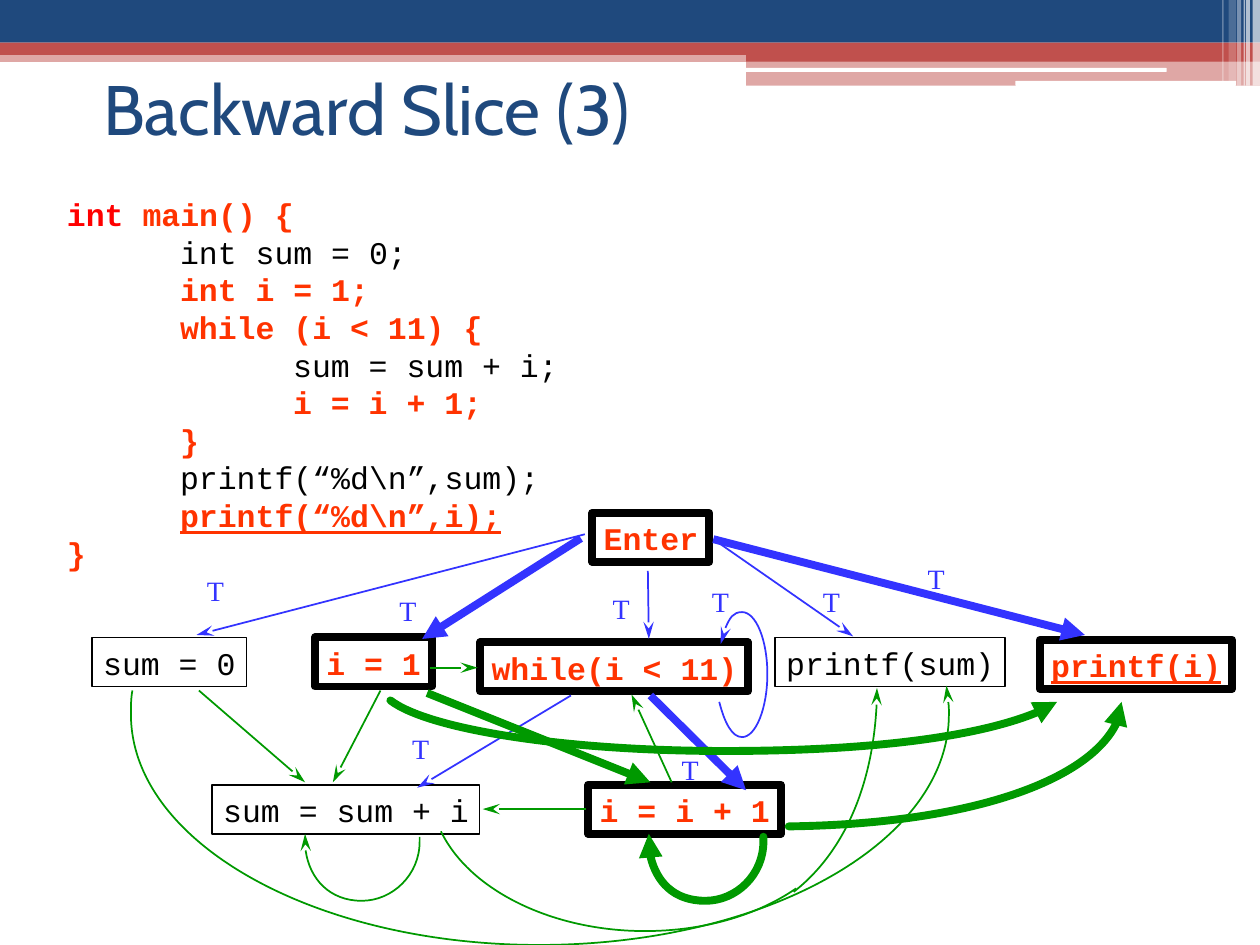
from lxml import etree
from pptx import Presentation
from pptx import util as u
from pptx.dml import color
from pptx.enum import shapes, text
from pptx.oxml import ns

NAVY, RED, WHITE, BLACK = "1F497D", "C0504D", "FFFFFF", "000000"
BLUE, GREEN, SLICE, KEYWORD = "3333FF", "009900", "FF3300", "FF0000"
THIN, THICK = 1, 4.5
PLAIN = {"name": "Courier New", "size": u.Pt(18), "color": BLACK}
MARKED = {**PLAIN, "color": SLICE, "bold": True}
CRITERION = {**MARKED, "underline": True}
EDGE_LABEL = {"name": "Times New Roman", "size": u.Pt(16), "color": BLUE}
TITLE = {"name": "Cabin", "size": u.Pt(40), "color": NAVY}


def rgb(value):
    return color.RGBColor.from_string(value)


def child(parent, tag, **attributes):
    return etree.SubElement(parent, ns.qn(tag), attributes)


def add_run(paragraph, words, style):
    run = paragraph.add_run()
    run.text = words
    for name, value in style.items():
        if name == "color":
            run.font.color.rgb = rgb(value)
        else:
            setattr(run.font, name, value)


def set_frame(shape, wrap=False, anchor=text.MSO_ANCHOR.TOP):
    frame = shape.text_frame
    values = {"margin_left": u.Cm(0.23), "margin_right": u.Cm(0.23),
              "margin_top": u.Cm(0.13), "margin_bottom": u.Cm(0.13),
              "word_wrap": wrap, "vertical_anchor": anchor}
    for name, value in values.items():
        setattr(frame, name, value)
    return frame


def add_text(slide, left, top, width, height, words, style, **layout):
    box = slide.shapes.add_textbox(u.Cm(left), u.Cm(top), u.Cm(width), u.Cm(height))
    add_run(set_frame(box, **layout).paragraphs[0], words, style)


def add_header(slide, left, top, width):
    kinds = shapes.MSO_SHAPE

    def bar(x, y, w, h, fill, opacity=100, kind=kinds.RECTANGLE):
        shape = slide.shapes.add_shape(
            kind, u.Cm(left + x), u.Cm(top + y), u.Cm(w), u.Cm(h))
        shape.shadow.inherit = False
        shape.line.fill.background()
        shape.fill.solid()
        shape.fill.fore_color.rgb = rgb(fill)
        if opacity < 100:
            solid = shape.fill._xPr.find(ns.qn("a:solidFill"))
            child(solid[0], "a:alpha", val=str(opacity * 1000))

    # Full-width bands, then the block at the right
    bar(0, 1.02, width, 0.23, RED, 50)
    bar(0, 0, width, 0.86, NAVY)
    bar(0, 0.86, width, 0.25, RED)
    bar(15.04, 0.99, width - 15.04, 0.25, RED)
    bar(15.04, 1.22, width - 15.04, 0.51, RED, 50)
    bar(15.01, 1.37, 8.51, 0.08, WHITE, kind=kinds.ROUNDED_RECTANGLE)
    bar(20.47, 1.63, 4.45, 0.1, WHITE, kind=kinds.ROUNDED_RECTANGLE)
    # Pale stripes at the right edge
    for x, w, h, opacity in [(25.25, 0.15, 1.73, 65), (25.12, 0.08, 1.73, 65),
                             (25.07, 0.03, 1.73, 60), (24.94, 0.08, 1.73, 40),
                             (24.77, 0.15, 1.63, 20), (24.64, 0.03, 1.63, 30)]:
        bar(x, 0, w, h, WHITE, opacity)


def add_code(slide, left, top, width, height):
    box = slide.shapes.add_textbox(u.Cm(left), u.Cm(top), u.Cm(width), u.Cm(height))
    frame = set_frame(box)
    lines = [
        (0, [("int ", {**MARKED, "color": KEYWORD}), ("main() {", MARKED)]),
        (1, [("int sum = 0;", PLAIN)]),
        (1, [("int i = 1;", MARKED)]),
        (1, [("while (i < 11) {", MARKED)]),
        (2, [("sum = sum + i;", PLAIN)]),
        (2, [("i = i + 1;", MARKED)]),
        (1, [("}", MARKED)]),
        (1, [("printf(“%d\\n”,sum);", PLAIN)]),
        (1, [("printf(“%d\\n”,i);", CRITERION)]),
        (0, [("}", MARKED)]),
    ]
    for number, (depth, runs) in enumerate(lines):
        paragraph = frame.paragraphs[0] if number == 0 else frame.add_paragraph()
        paragraph.line_spacing = u.Pt(21.5)
        tabs = child(paragraph._p.get_or_add_pPr(), "a:tabLst")
        for stop in (1, 2):
            child(tabs, "a:tab", pos=str(u.Cm(2.28 * stop)), algn="l")
        if depth:
            add_run(paragraph, "\t" * depth, PLAIN)
        for words, style in runs:
            add_run(paragraph, words, style)


def add_graph(slide, left, top):
    def place(point):
        return u.Cm(left + point[0]), u.Cm(top + point[1])

    def node(x, y, words, style):
        width = 0.38 * len(words) + 0.46
        shape = slide.shapes.add_shape(
            shapes.MSO_SHAPE.RECTANGLE, *place((x, y)), u.Cm(width), u.Cm(0.99))
        shape.shadow.inherit = False
        shape.fill.background()
        shape.line.color.rgb = rgb(BLACK)
        shape.line.width = u.Pt(THIN if style is PLAIN else THICK)
        paragraph = set_frame(shape).paragraphs[0]
        paragraph.alignment = text.PP_ALIGN.LEFT
        paragraph.line_spacing = u.Pt(21.5)
        add_run(paragraph, words, style)

    def style_edge(shape, stroke, weight, arrow=True):
        shape.line.color.rgb = rgb(stroke)
        shape.line.width = u.Pt(weight)
        if arrow:
            kind, length = ("stealth", "lg") if weight == THIN else ("triangle", "med")
            child(shape.line._get_or_add_ln(), "a:tailEnd", type=kind, w="med", len=length)

    def edge(start, end, stroke, weight=THIN):
        line = slide.shapes.add_connector(
            shapes.MSO_CONNECTOR.STRAIGHT, *place(start), *place(end))
        style_edge(line, stroke, weight)
        child(line._element.spPr, "a:effectLst")

    def curve(points, stroke, weight=THIN, arrow=True):
        start, *rest = map(place, points)
        builder = slide.shapes.build_freeform(*start, scale=1.0)
        builder.add_line_segments(rest, close=False)
        shape = builder.convert_to_shape()
        # Every three segments become one Bézier segment
        segments = list(shape._element.iter(ns.qn("a:lnTo")))
        outline = segments[0].getparent()
        for first in range(0, len(segments), 3):
            bezier = child(outline, "a:cubicBezTo")
            for segment in segments[first:first + 3]:
                bezier.append(segment[0])
                outline.remove(segment)
        shape.fill.background()
        style_edge(shape, stroke, weight, arrow)
        if weight == THICK:
            shape.line._get_or_add_ln().set("cap", "rnd")
        shape.shadow.inherit = False

    # Statements
    for item in [(11.94, 0.34, "Enter", MARKED), (1.85, 2.85, "sum = 0", PLAIN),
                 (6.35, 2.85, "i = 1", MARKED), (9.68, 2.95, "while(i < 11)", MARKED),
                 (15.62, 2.85, "printf(sum)", PLAIN), (20.96, 2.9, "printf(i)", CRITERION),
                 (4.27, 5.82, "sum = sum + i", PLAIN), (11.86, 5.82, "i = i + 1", MARKED)]:
        node(*item)

    # Control dependences
    edge((11.51, 4.02), (8.41, 5.88), BLUE)
    edge((11.79, 0.77), (3.96, 2.8), BLUE)
    edge((11.71, 0.85), (8.51, 2.88), BLUE, THICK)
    edge((14.38, 0.87), (17.2, 2.83), BLUE)
    edge((14.38, 0.87), (21.87, 2.8), BLUE, THICK)
    edge((13.06, 1.51), (13.08, 2.88), BLUE)
    edge((13.11, 4.02), (15.04, 5.93), BLUE, THICK)
    curve([(14.5, 4.15), (14.61, 4.58), (14.76, 4.86), (14.96, 4.86), (15.24, 4.86),
           (15.47, 4.27), (15.47, 3.59), (15.47, 2.9), (15.24, 2.34), (14.96, 2.34),
           (14.78, 2.34), (14.61, 2.57), (14.53, 2.98)], BLUE)
    for x, y in [(8.08, 4.61), (3.94, 1.43), (7.82, 1.84), (16.36, 1.66),
                 (18.47, 1.2), (14.12, 1.66), (12.12, 1.79), (13.51, 5.04)]:
        add_text(slide, left + x, top + y, 0.81, 0.91, "T", EDGE_LABEL)

    # Data dependences
    edge((4.01, 3.92), (6.15, 5.77), GREEN)
    edge((7.67, 3.92), (6.71, 5.77), GREEN)
    edge((8.66, 3.46), (9.63, 3.46), GREEN)
    edge((8.61, 3.97), (13.11, 5.77), GREEN, THICK)
    edge((13.54, 5.77), (12.73, 4), GREEN)
    edge((11.81, 6.31), (9.73, 6.31), GREEN)
    curve([(2.67, 3.92), (2.64, 4.07), (2.64, 4.24), (2.64, 4.4), (2.64, 6.97),
           (6.32, 9.05), (10.87, 9.05), (15.44, 9.05), (19.13, 6.97), (19.13, 4.4),
           (19.13, 4.19), (19.1, 4.02), (19.08, 3.82)], GREEN)
    curve([(7.87, 4.12), (8.64, 4.71), (11.4, 5.14), (14.61, 5.14),
           (17.73, 5.14), (20.47, 4.73), (21.31, 4.15)], GREEN, THICK)
    curve([(8.89, 6.76), (9.47, 7.96), (11.15, 8.77), (13, 8.77),
           (14.15, 8.77), (15.24, 8.47), (16.05, 7.91)], GREEN, arrow=False)
    curve([(16, 7.98), (17.04, 7.17), (17.68, 5.6), (17.68, 3.87)], GREEN)
    curve([(15.9, 6.66), (19.63, 6.61), (22.61, 5.49), (22.61, 4.15)], GREEN, THICK)
    # Loops of the two accumulating statements
    loop = [(2.31, 0.06), (2.31, 0.08), (2.31, 0.13), (2.31, 0.16), (2.31, 0.82),
            (1.77, 1.35), (1.14, 1.35), (0.5, 1.35), (0, 0.82), (0, 0.16),
            (0, 0.11), (0, 0.06), (0, 0)]
    for loop_left, weight in [(6.15, THIN), (13.08, THICK)]:
        curve([(loop_left + x, 6.81 + y) for x, y in loop], GREEN, weight)


def main():
    presentation = Presentation()
    presentation.slide_width, presentation.slide_height = u.Cm(25.4), u.Cm(19.05)
    slide = presentation.slides.add_slide(presentation.slide_layouts[6])
    add_header(slide, 0, 0, 25.4)
    add_text(slide, 1.85, 0.97, 21.59, 2.39, "Backward Slice (3)", TITLE,
             wrap=True, anchor=text.MSO_ANCHOR.MIDDLE)
    add_code(slide, 1.12, 3.81, 10.36, 7.85)
    add_graph(slide, 0, 10)
    presentation.save("out.pptx")


if __name__ == "__main__":
    main()
